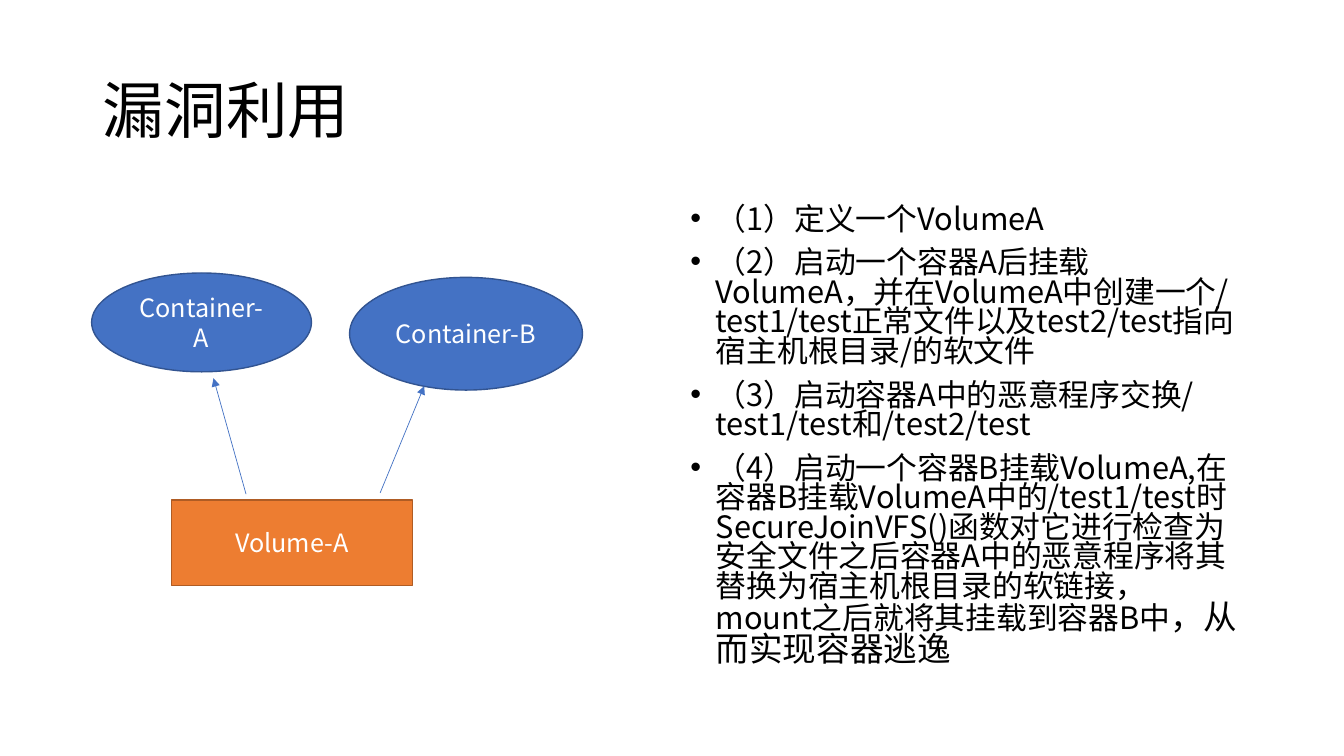
from lxml import etree
from pptx import Presentation
from pptx import util as u
from pptx.dml.color import RGBColor
from pptx.enum import shapes, text
from pptx.oxml.ns import qn

FONT = "Noto Sans CJK SC"
COLORS = {
    "text": "000000", "light": "FFFFFF", "arrow": "4472C4",
    "container": "4472C4", "container_edge": "325491",
    "volume": "ED7D31", "volume_edge": "AF5C24",
}
STEPS = [
    ["（1）定义一个VolumeA"],
    ["（2）启动一个容器A后挂载VolumeA，并在VolumeA中创建一个/test1/test正常文件"
     "以及test2/test指向宿主机根目录/的软文件"],
    ["（3）启动容器A中的恶意程序交换/test1/test和/test2/test"],
    ["（4）启动一个容器B挂载VolumeA,在容器B挂载VolumeA中的/test1/test时"
     "SecureJoinVFS()函数对它进行检查为安全文件之后容器A中的恶意程序将其替换为"
     "宿主机根目录的软链接，mount之后就将其挂载到容器B中",
     "，从而实现容器逃逸"],
]


def color(name):
    return RGBColor.from_string(COLORS[name])


def style_font(font, size, color_name):
    font.size = u.Pt(size)
    font.name = FONT
    font.color.rgb = color(color_name)


def style_paragraph(para, size, color_name):
    style_font(para.font, size, color_name)
    latin = para.font._element.find(qn("a:latin"))
    east_asian = etree.Element(qn("a:ea"), typeface=FONT)
    latin.addnext(east_asian)


def add_title(slide, left, top, width, height):
    title = slide.shapes.title
    title.left, title.top = u.Cm(left), u.Cm(top)
    title.width, title.height = u.Cm(width), u.Cm(height)
    frame = title.text_frame
    frame.text = "漏洞利用"
    frame.vertical_anchor = text.MSO_ANCHOR.MIDDLE
    para = frame.paragraphs[0]
    para.alignment = text.PP_ALIGN.LEFT
    para.line_spacing = 0.9
    style_paragraph(para, 44, "text")


def add_node(slide, kind, label, left, top, width, height, fill):
    node = slide.shapes.add_shape(
        kind, u.Cm(left), u.Cm(top), u.Cm(width), u.Cm(height))
    node.shadow.inherit = False
    node.fill.solid()
    node.fill.fore_color.rgb = color(fill)
    node.line.color.rgb = color(fill + "_edge")
    node.line.width = u.Pt(1)
    frame = node.text_frame
    frame.word_wrap = True
    frame.text = label
    frame.vertical_anchor = text.MSO_ANCHOR.MIDDLE
    para = frame.paragraphs[0]
    para.alignment = text.PP_ALIGN.CENTER
    style_paragraph(para, 18, "light")


def add_arrow(slide, start_x, start_y, end_x, end_y):
    arrow = slide.shapes.add_connector(
        shapes.MSO_CONNECTOR.STRAIGHT,
        u.Cm(start_x), u.Cm(start_y), u.Cm(end_x), u.Cm(end_y))
    arrow.line.color.rgb = color("arrow")
    arrow.line.width = u.Pt(0.5)
    etree.SubElement(arrow.line._get_or_add_ln(), qn("a:tailEnd"), type="triangle")
    etree.SubElement(arrow._element.spPr, qn("a:effectLst"))


def add_diagram(slide, left, top):
    # Containers above, the shared volume below
    oval, rectangle = shapes.MSO_SHAPE.OVAL, shapes.MSO_SHAPE.RECTANGLE
    for kind, label, x, y, width, height, fill in [
        (oval, "Container-A", 0, 0, 5.54, 2.49, "container"),
        (oval, "Container-B", 6.5, 0.11, 5.87, 2.84, "container"),
        (rectangle, "Volume-A", 2.01, 5.72, 6.07, 2.16, "volume"),
    ]:
        add_node(slide, kind, label, left + x, top + y, width, height, fill)

    # Mount arrows from the volume to each container
    for start_x, start_y, end_x, end_y in [
        (3.89, 5.57, 3.07, 2.65),
        (7.27, 5.54, 8.38, 2.85),
    ]:
        add_arrow(slide, left + start_x, top + start_y, left + end_x, top + end_y)


def add_steps(slide, left, top, width, height):
    box = slide.shapes.add_textbox(
        u.Cm(left), u.Cm(top), u.Cm(width), u.Cm(height))
    frame = box.text_frame
    frame.word_wrap = True
    for index, parts in enumerate(STEPS):
        para = frame.add_paragraph() if index else frame.paragraphs[0]
        para.line_spacing = 0.8
        para.space_before = u.Pt(10)

        # Hanging bullet
        properties = para._p.get_or_add_pPr()
        properties.set("marL", str(u.Cm(0.64)))
        properties.set("indent", str(u.Cm(-0.64)))
        etree.SubElement(properties, qn("a:buFont"), typeface="Arial")
        etree.SubElement(properties, qn("a:buChar"), char="•")

        style_paragraph(para, 22, "text")
        for position, part in enumerate(parts):
            span = para.add_run()
            span.text = part
            if position:
                span.font.size = u.Pt(24)


def main():
    deck = Presentation()
    deck.slide_width, deck.slide_height = u.Cm(33.87), u.Cm(19.05)
    page = deck.slides.add_slide(deck.slide_layouts[5])
    add_title(page, 2.34, 1.02, 29.21, 3.68)
    add_steps(page, 17.15, 5.08, 14.4, 12.09)
    add_diagram(page, 2.31, 6.88)
    deck.save("out.pptx")


if __name__ == "__main__":
    main()
